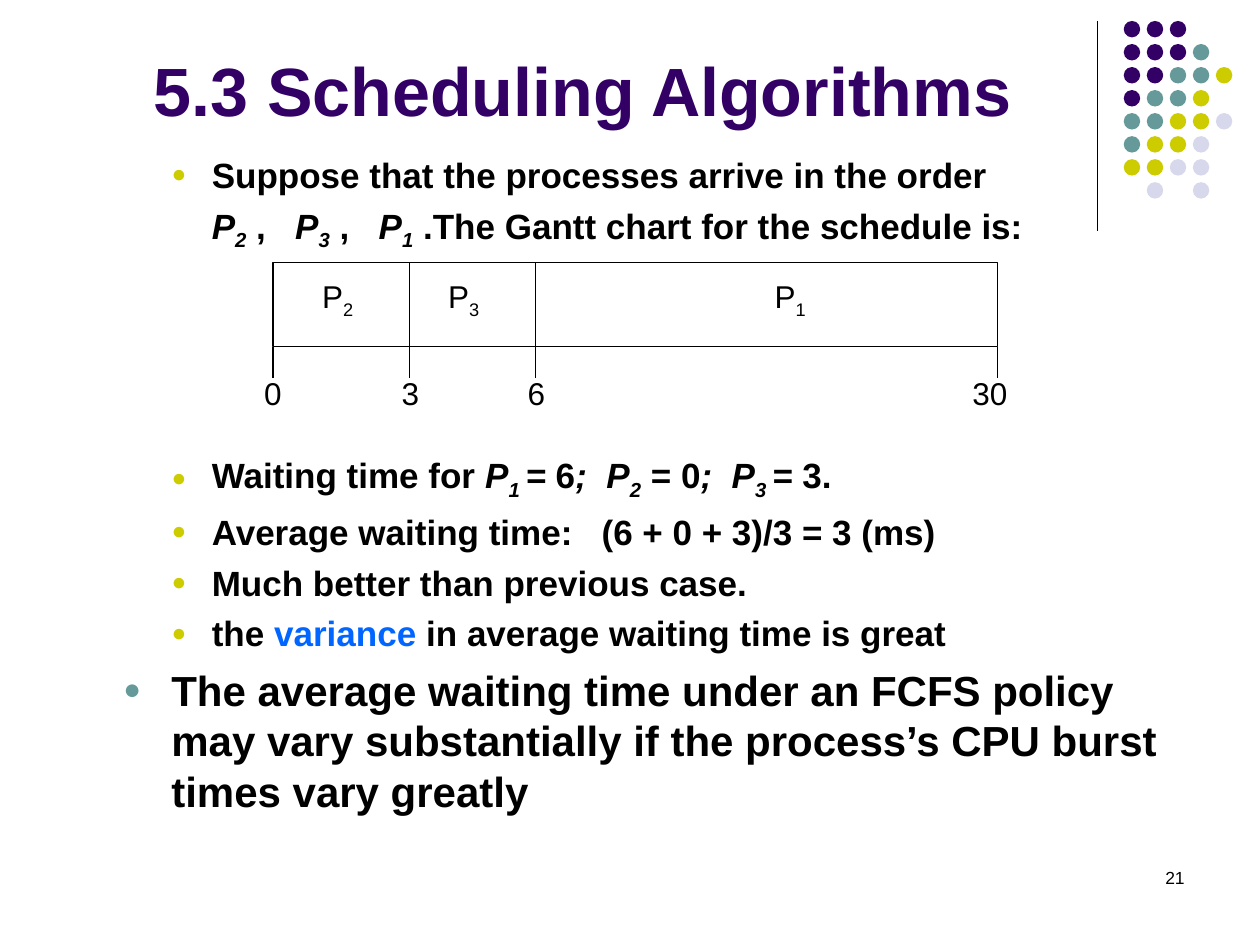
from lxml import etree
from pptx import Presentation
from pptx.dml.color import RGBColor
from pptx.enum.shapes import MSO_CONNECTOR, MSO_SHAPE
from pptx.enum.text import MSO_ANCHOR, MSO_AUTO_SIZE, PP_ALIGN
from pptx.oxml.ns import qn
from pptx.util import Pt

LINE, RECT, OVAL = MSO_CONNECTOR.STRAIGHT, MSO_SHAPE.RECTANGLE, MSO_SHAPE.OVAL
MID, LOW, TOP = MSO_ANCHOR.MIDDLE, MSO_ANCHOR.BOTTOM, MSO_ANCHOR.TOP
CENTER, LEFT, RIGHT = PP_ALIGN.CENTER, PP_ALIGN.LEFT, PP_ALIGN.RIGHT
FIXED = MSO_AUTO_SIZE.NONE

BLACK = RGBColor(0x00, 0x00, 0x00)
WHITE = RGBColor(0xFF, 0xFF, 0xFF)
PURPLE = RGBColor(0x33, 0x00, 0x66)
TEAL = RGBColor(0x66, 0x99, 0x99)
LIME = RGBColor(0xCC, 0xCC, 0x00)
PALE = RGBColor(0xD8, 0xD8, 0xEC)
BLUE = RGBColor(0x00, 0x66, 0xFF)

HUES = {"P": PURPLE, "T": TEAL, "L": LIME, "W": PALE}
DOTS = ["PPP", "PPPT", "PPTTL", "PTTL", "TTLLW", "TLLW", "LLWW", " W W"]

# Run styles: i italic, s italic subscript, v highlighted
ITEMS = [
    (2, LIME, 5, [("Suppose that the processes arrive in the order", "")]),
    (2, None, 5, [("P", "i"), ("2", "s"), (" ,   ", ""), ("P", "i"), ("3", "s"),
                  (" ,   ", ""), ("P", "i"), ("1", "s"),
                  (" .The Gantt chart for the schedule is:", "")]),
    (2, LIME, 115.4, [("Waiting time for ", ""), ("P", "i"), ("1 ", "s"), ("=", "i"),
                      (" 6", ""), (";  P", "i"), ("2", "s"), (" = 0", ""),
                      (";  P", "i"), ("3 ", "s"), ("= ", "i"), ("3.", "")]),
    (2, LIME, 5, [("Average waiting time:   (6 + 0 + 3)/3 = 3 (ms)", "")]),
    (2, LIME, 5, [("Much better than previous case.", "")]),
    (2, LIME, 5, [("the ", ""), ("variance ", "v"),
                  ("in average waiting time is great", "")]),
    (1, TEAL, 6, [("The average waiting time under an FCFS policy may vary "
                   "substantially if the process’s CPU burst times vary greatly", "")]),
]
INDENTS = {1: (54.7, 27.4, 24), 2: (77.8, 23, 20)}

TICKS = [("0", 0, 0), ("3", 78, 78.5), ("6", 150, 150.5), ("30", 414, 409.7)]
JOBS = [("2", 37), ("3", 109), ("1", 295.5)]


def place(shape, box):
    shape.left, shape.top, shape.width, shape.height = (Pt(v) for v in box)


def style(font, size, hue=BLACK, bold=False):
    font.name, font.size, font.bold = "Arial", Pt(size), bold
    font.color.rgb = hue


def lower(run):
    run.font._element.set("baseline", "-25000")


def rule(shapes, x1, y1, x2, y2):
    line = shapes.add_connector(LINE, Pt(x1), Pt(y1), Pt(x2), Pt(y2))
    line.line.color.rgb = BLACK
    line.line.width = Pt(0.75)
    etree.SubElement(line._element.spPr, qn("a:effectLst"))


def label(shapes, box, text, size, align, sub=""):
    shape = shapes.add_textbox(*(Pt(v) for v in box))
    frame = shape.text_frame
    frame.word_wrap = align == RIGHT
    frame.vertical_anchor = TOP if align == RIGHT else MID
    para = frame.paragraphs[0]
    para.alignment = align
    style(para.font, size)
    para.add_run().text = text
    if sub:
        run = para.add_run()
        run.text = sub
        lower(run)


def bullet(para, hue, left, hang):
    props = para._p.get_or_add_pPr()
    props.set("marL", str(Pt(left)))
    props.set("indent", str(-Pt(hang) if hue else 0))
    if hue is None:
        etree.SubElement(props, qn("a:buNone"))
        return
    tint = etree.SubElement(props, qn("a:buClr"))
    etree.SubElement(tint, qn("a:srgbClr"), val=str(hue))
    etree.SubElement(props, qn("a:buSzPct"), val="70000")
    etree.SubElement(props, qn("a:buFont"), typeface="Arial")
    etree.SubElement(props, qn("a:buChar"), char="●")


def add_dots(slide, box):
    x, y, w, h = box
    rule(slide.shapes, x, y, x, y + h)
    group = slide.shapes.add_group_shape()
    size, step = 9.4, 13.16
    left = x + w - 4 * step - size
    for r, row in enumerate(DOTS):
        for c, key in enumerate(row):
            if key == " ":
                continue
            dot = group.shapes.add_shape(OVAL, Pt(left + c * step), Pt(y + r * step),
                                         Pt(size), Pt(size))
            dot.shadow.inherit = False
            dot.fill.solid()
            dot.fill.fore_color.rgb = HUES[key]
            dot.line.fill.background()


def add_title(slide, box):
    shape = slide.shapes.title
    place(shape, box)
    frame = shape.text_frame
    frame.auto_size = FIXED
    frame.vertical_anchor = LOW
    para = frame.paragraphs[0]
    para.text = "5.3 Scheduling Algorithms"
    para.alignment = CENTER
    style(para.font, 39, PURPLE, True)


def add_body(slide, box):
    shape = slide.placeholders[1]
    place(shape, box)
    frame = shape.text_frame
    frame.auto_size = FIXED
    for n, (level, hue, gap, runs) in enumerate(ITEMS):
        para = frame.add_paragraph() if n else frame.paragraphs[0]
        left, hang, size = INDENTS[level]
        para.level = level
        para.alignment = LEFT
        para.space_before = Pt(gap)
        bullet(para, hue, left, hang)
        style(para.font, size, BLACK, True)
        for text, mode in runs:
            run = para.add_run()
            run.text = text
            if mode in ("i", "s"):
                run.font.italic = True
            if mode == "s":
                lower(run)
            if mode == "v":
                run.font.color.rgb = BLUE


def add_gantt(slide, box):
    x, y, w, h = box
    shapes = slide.shapes.add_group_shape().shapes
    bar = shapes.add_shape(RECT, *(Pt(v) for v in box))
    bar.shadow.inherit = False
    bar.fill.solid()
    bar.fill.fore_color.rgb = WHITE
    bar.line.color.rgb = BLACK
    bar.line.width = Pt(0.75)
    for sub, mid in JOBS:
        label(shapes, (x + mid - 16, y + 5, 32, 31.7), "P", 18, CENTER, sub)
    for text, pos, mid in TICKS:
        start = y if 0 < pos < w else y + h
        rule(shapes, x + pos, start, x + pos, y + h + 18)
        wide = 14.5 + 10 * len(text)
        label(shapes, (x + mid - wide / 2, y + h + 12.2, wide, 28.8), text, 18, CENTER)


def main():
    deck = Presentation()
    deck.slide_width, deck.slide_height = Pt(720), Pt(540)
    slide = deck.slides.add_slide(deck.slide_layouts[1])
    add_dots(slide, (627, 12, 77.2, 120))
    label(slide.shapes, (516, 492, 168, 36), "21", 10, RIGHT)
    add_title(slide, (36, 9.4, 594, 68.4))
    add_body(slide, (36, 84, 648, 399))
    add_gantt(slide, (156, 150, 414, 48))
    deck.save("out.pptx")


if __name__ == "__main__":
    main()
